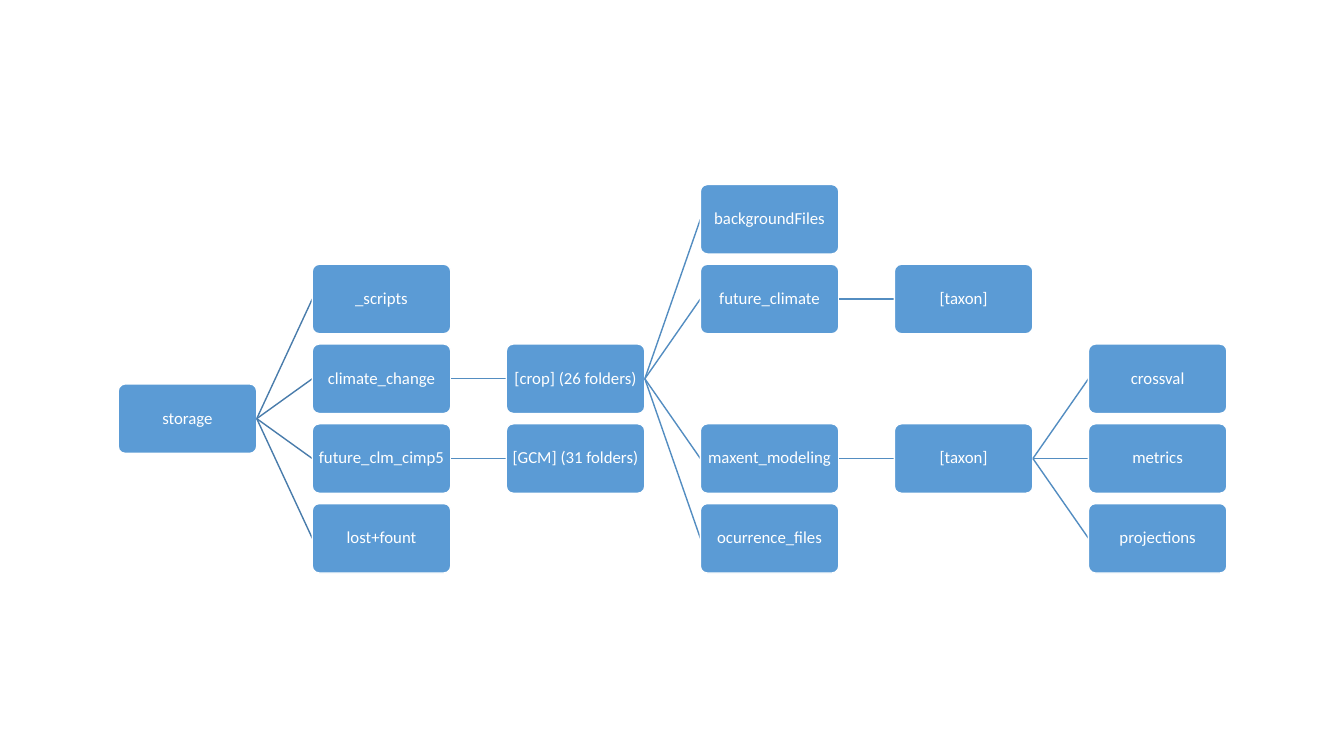
from dataclasses import dataclass, field

from lxml import etree
from pptx import Presentation
from pptx import util as u
from pptx.dml.color import RGBColor
from pptx.enum import shapes, text
from pptx.oxml.ns import qn


@dataclass(frozen=True)
class Theme:
    """Colours, type and line sizes."""
    folder: RGBColor = RGBColor.from_string("5B9BD5")
    label: RGBColor = RGBColor.from_string("FFFFFF")
    root_link: RGBColor = RGBColor.from_string("497CAB")
    link: RGBColor = RGBColor.from_string("538DC1")
    font: str = "Calibri"
    size: u.Pt = u.Pt(12)
    stroke: u.Pt = u.Pt(1)


@dataclass
class Folder:
    """A folder with its subfolders; only leaves need a row."""
    name: str
    row: float = 0
    subfolders: list = field(default_factory=list)


THEME = Theme()
LEFT, TOP = u.Cm(2.98), u.Cm(4.65)
WIDTH, HEIGHT = u.Cm(3.49), u.Cm(1.75)
COLUMN_STEP, ROW_STEP = u.Cm(4.89), u.Cm(2.01)
INSET = u.Cm(0.08)
LEFT_SITE, RIGHT_SITE = 1, 3

STORAGE = Folder("storage", subfolders=[
    Folder("_scripts", 1),
    Folder("climate_change", subfolders=[
        Folder("[crop] (26 folders)", subfolders=[
            Folder("backgroundFiles", 0),
            Folder("future_climate", subfolders=[Folder("[taxon]", 1)]),
            Folder("maxent_modeling", subfolders=[
                Folder("[taxon]", subfolders=[
                    Folder("crossval", 2),
                    Folder("metrics", 3),
                    Folder("projections", 4),
                ]),
            ]),
            Folder("ocurrence_files", 4),
        ]),
    ]),
    Folder("future_clm_cimp5", subfolders=[Folder("[GCM] (31 folders)", 3)]),
    Folder("lost+fount", 4),
])


def row_of(folder):
    """Return a leaf's own row, or the middle of the outer subfolders."""
    if not folder.subfolders:
        return folder.row
    return (row_of(folder.subfolders[0]) + row_of(folder.subfolders[-1])) / 2


def add_folder(slide, folder, level):
    """Draw one labelled folder box in its column and row."""
    box = slide.shapes.add_shape(
        shapes.MSO_SHAPE.ROUNDED_RECTANGLE,
        LEFT + level * COLUMN_STEP, TOP + int(row_of(folder) * ROW_STEP),
        WIDTH, HEIGHT)
    box.adjustments[0] = 0.1
    box.shadow.inherit = False
    box.fill.solid()
    box.fill.fore_color.rgb = THEME.folder
    box.line.color.rgb = THEME.label
    box.line.width = THEME.stroke
    frame = box.text_frame
    frame.word_wrap = True
    frame.vertical_anchor = text.MSO_ANCHOR.MIDDLE
    frame.margin_left = frame.margin_right = INSET
    frame.margin_top = frame.margin_bottom = INSET
    label = frame.paragraphs[0]
    label.text = folder.name
    label.alignment = text.PP_ALIGN.CENTER
    label.line_spacing = 0.9
    label.font.name = THEME.font
    label.font.size = THEME.size
    label.font.color.rgb = THEME.label
    return box


def add_link(slide, color):
    """Add a plain line, ready to be attached to two folders."""
    link = slide.shapes.add_connector(shapes.MSO_CONNECTOR.STRAIGHT, 0, 0, 0, 0)
    link.line.color.rgb = color
    link.line.width = THEME.stroke
    etree.SubElement(link._element.spPr, qn("a:effectLst"))
    return link


def add_branch(slide, folder, level=0):
    """Draw a folder and, linked to it, all its subfolders."""
    parent = add_folder(slide, folder, level)
    for subfolder in folder.subfolders:
        link = add_link(slide, THEME.link if level else THEME.root_link)
        child = add_branch(slide, subfolder, level + 1)
        link.begin_connect(parent, RIGHT_SITE)
        link.end_connect(child, LEFT_SITE)
    return parent


def main():
    """Build the folder tree slide and save it."""
    deck = Presentation()
    deck.slide_width, deck.slide_height = u.Cm(33.87), u.Cm(19.05)
    slide = deck.slides.add_slide(deck.slide_layouts[6])
    add_branch(slide, STORAGE)
    deck.save("out.pptx")


main()
